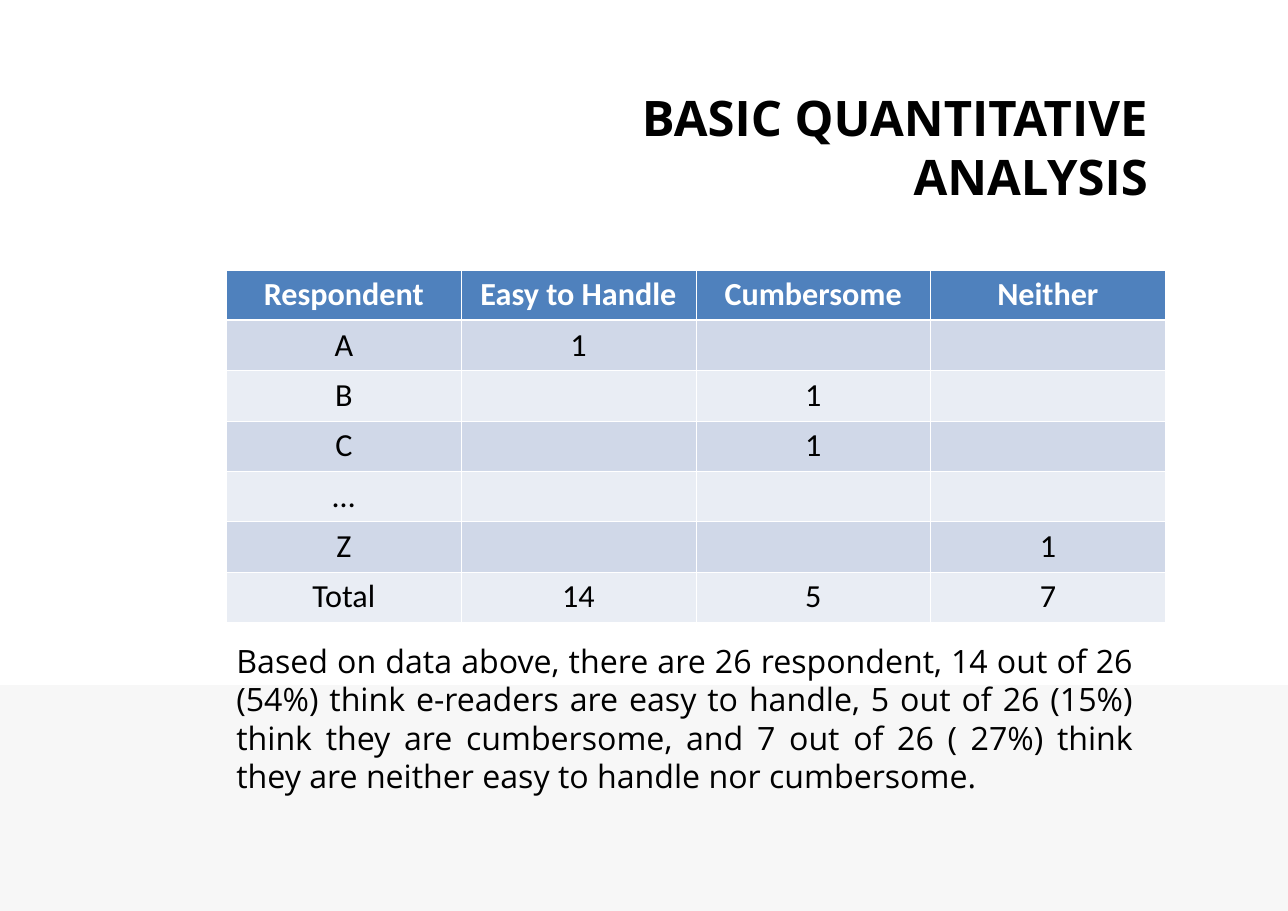
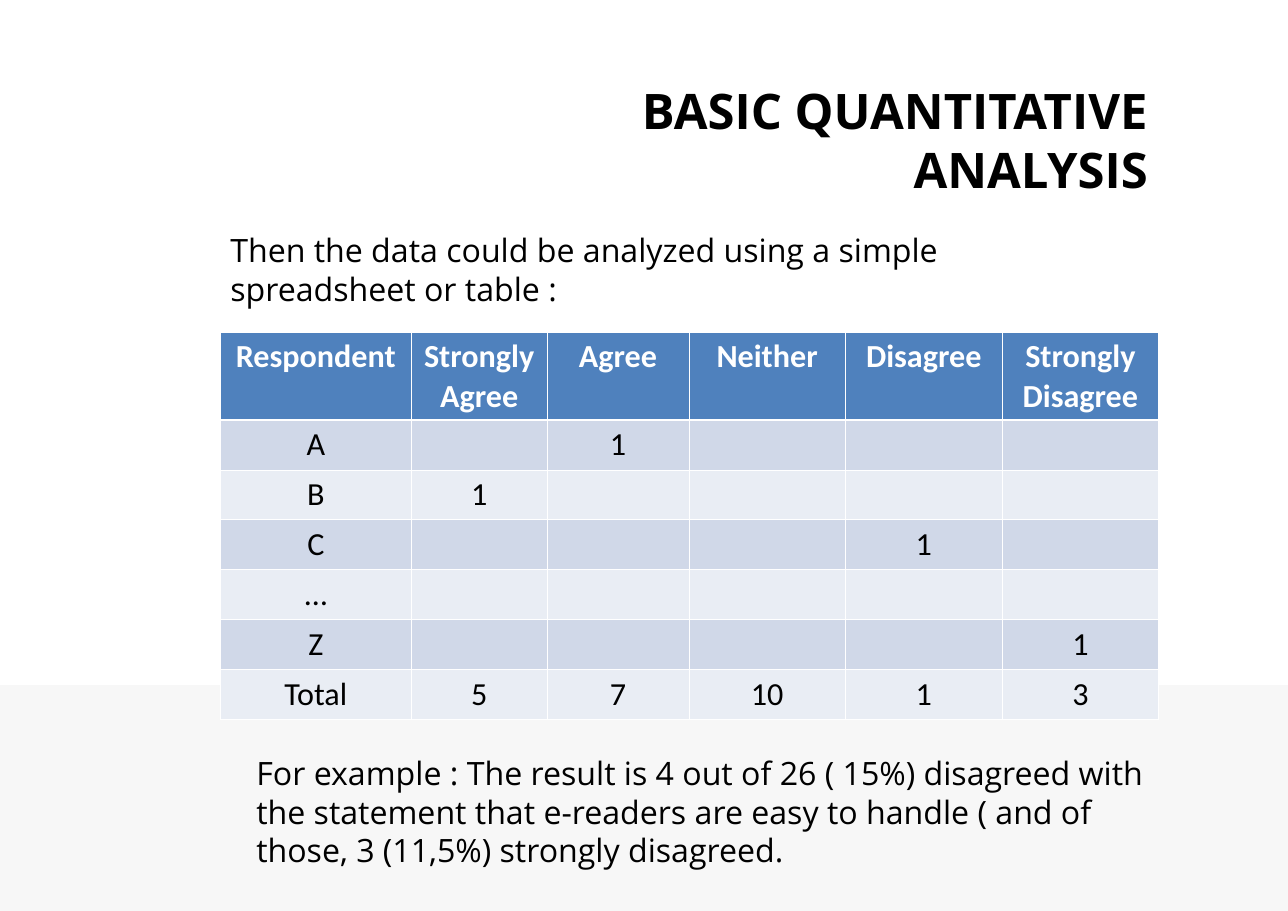
from dataclasses import dataclass

from lxml.etree import SubElement
from pptx import Presentation
from pptx.dml.color import RGBColor
from pptx.enum.shapes import MSO_SHAPE as Shape
from pptx.enum.text import MSO_ANCHOR as Anchor, MSO_AUTO_SIZE as AutoSize, PP_ALIGN as Align
from pptx.oxml.ns import qn
from pptx.util import Cm, Pt


@dataclass(frozen=True)
class Theme:
    """Colours, fonts and type sizes shared by all slides."""
    ink: str = "000000"
    paper: str = "FFFFFF"
    band: str = "F7F7F7"
    header: str = "4F81BD"
    stripes: tuple = ("E9EDF4", "D0D8E8")
    text_font: str = "Open Sans"
    table_font: str = "Calibri"
    title_size: float = 32
    body_size: float = 21
    leading: float = 1.2
    thin: float = 0.45
    thick: float = 1.47


THEME = Theme()
WIDTH, HEIGHT = 29.69, 21.01
TITLE = "BASIC QUANTITATIVE\nANALYSIS"


def write(frame, text, *, size=THEME.body_size, font=THEME.text_font, color=THEME.ink,
          bold=False, align=Align.LEFT, leading=None):
    """Fill a text frame, one paragraph for each line of the text."""
    for number, line in enumerate(text.split("\n")):
        paragraph = frame.add_paragraph() if number else frame.paragraphs[0]
        paragraph.alignment = align
        if leading:
            paragraph.line_spacing = Pt(round(size * leading, 1))
        run = paragraph.add_run()
        run.text = line
        run.font.size, run.font.name, run.font.bold = Pt(size), font, bold
        run.font.color.rgb = RGBColor.from_string(color)


def paint(fill, color):
    fill.solid()
    fill.fore_color.rgb = RGBColor.from_string(color)


def set_borders(cell, color, **widths):
    """Draw cell borders; widths are points by side: L, R, T, B."""
    properties = cell._tc.get_or_add_tcPr()
    for side, width in widths.items():
        line = SubElement(properties, qn(f"a:ln{side}"), w=str(Pt(width)))
        SubElement(SubElement(line, qn("a:solidFill")), qn("a:srgbClr"), val=color)


class Deck:
    """Holds the style and the current slide."""

    def __init__(self, theme):
        self.theme = theme
        self.presentation = Presentation()
        self.presentation.slide_width, self.presentation.slide_height = Cm(WIDTH), Cm(HEIGHT)
        self.slide = None

    def start_slide(self, title, title_top):
        title_only = self.presentation.slide_layouts[5]
        self.slide = self.presentation.slides.add_slide(title_only)
        self.band(15.8)
        self.title(title, title_top)

    def band(self, top):
        footer = self.slide.shapes.add_shape(
            Shape.RECTANGLE, 0, Cm(top), Cm(WIDTH), Cm(HEIGHT - top))
        footer.shadow.inherit = False
        footer.line.fill.background()
        paint(footer.fill, self.theme.band)

    def title(self, text, top):
        heading = self.slide.shapes.title
        heading.left, heading.top = Cm(14.35), Cm(top)
        heading.width, heading.height = Cm(12.37), Cm(2.97)
        frame = heading.text_frame
        frame.word_wrap, frame.auto_size = False, AutoSize.NONE
        frame.vertical_anchor = Anchor.TOP
        write(frame, text, size=self.theme.title_size, bold=True,
              align=Align.RIGHT, leading=self.theme.leading)

    def text(self, text, left, top, width, height, align=Align.LEFT):
        box = self.slide.shapes.add_textbox(Cm(left), Cm(top), Cm(width), Cm(height))
        box.text_frame.word_wrap = True
        write(box.text_frame, text, align=align, leading=self.theme.leading)

    def table(self, rows, left, top, widths, header_height, row_height):
        heights = [header_height] + [row_height] * (len(rows) - 1)
        grid = self.slide.shapes.add_table(
            len(rows), len(widths), Cm(left), Cm(top), Cm(sum(widths)), Cm(sum(heights))).table
        for column, width in zip(grid.columns, widths):
            column.width = Cm(width)
        for index, (values, height) in enumerate(zip(rows, heights)):
            grid.rows[index].height = Cm(height)
            for column, value in enumerate(values):
                self.cell(grid.cell(index, column), value, index)

    def cell(self, cell, value, row):
        theme, is_header = self.theme, row == 0
        cell.margin_top = cell.margin_bottom = Cm(0.12)
        set_borders(cell, theme.paper, L=theme.thin, R=theme.thin,
                    T=theme.thick if row == 1 else theme.thin,
                    B=theme.thick if is_header else theme.thin)
        paint(cell.fill, theme.header if is_header else theme.stripes[row % 2])
        if value:
            write(cell.text_frame, value, font=theme.table_font, bold=is_header,
                  color=theme.paper if is_header else theme.ink, align=Align.CENTER)


def main():
    deck = Deck(THEME)

    # Ease of handling: three answers
    handling = [
        ("Respondent", "Easy to Handle", "Cumbersome", "Neither"),
        ("A", "1", "", ""),
        ("B", "", "1", ""),
        ("C", "", "1", ""),
        ("…", "", "", ""),
        ("Z", "", "", "1"),
        ("Total", "14", "5", "7"),
    ]
    deck.start_slide(TITLE, 1.9)
    deck.table(handling, 5.22, 6.23, [5.41] * 4, 1.16, 1.16)
    deck.text("Based on data above, there are 26 respondent, 14 out of 26 (54%) think e-readers "
              "are easy to handle, 5 out of 26 (15%) think they are cumbersome, and 7 out of 26 "
              "( 27%) think they are neither easy to handle nor cumbersome.",
              5.2, 14.66, 21.18, 3.81, align=Align.JUSTIFY)

    # Agreement scale: five answers
    agreement = [
        ("Respondent", "Strongly\nAgree", "Agree", "Neither", "Disagree", "Strongly\nDisagree"),
        ("A", "", "1", "", "", ""),
        ("B", "1", "", "", "", ""),
        ("C", "", "", "", "1", ""),
        ("…", "", "", "", "", ""),
        ("Z", "", "", "", "", "1"),
        ("Total", "5", "7", "10", "1", "3"),
    ]
    deck.start_slide(TITLE, 1.73)
    deck.text("Then the data could be analyzed using a simple spreadsheet or table :",
              5.06, 5.2, 21.18, 2.03)
    deck.table(agreement, 5.08, 7.66, [4.4, 3.13, 3.27] + [3.61] * 3, 2.03, 1.15)
    deck.text("For example : The result is 4 out of 26 ( 15%) disagreed with the statement that "
              "e-readers are easy to handle ( and of those, 3 (11,5%) strongly disagreed.",
              5.66, 17.25, 21.64, 2.92)

    deck.presentation.save("out.pptx")


if __name__ == "__main__":
    main()
